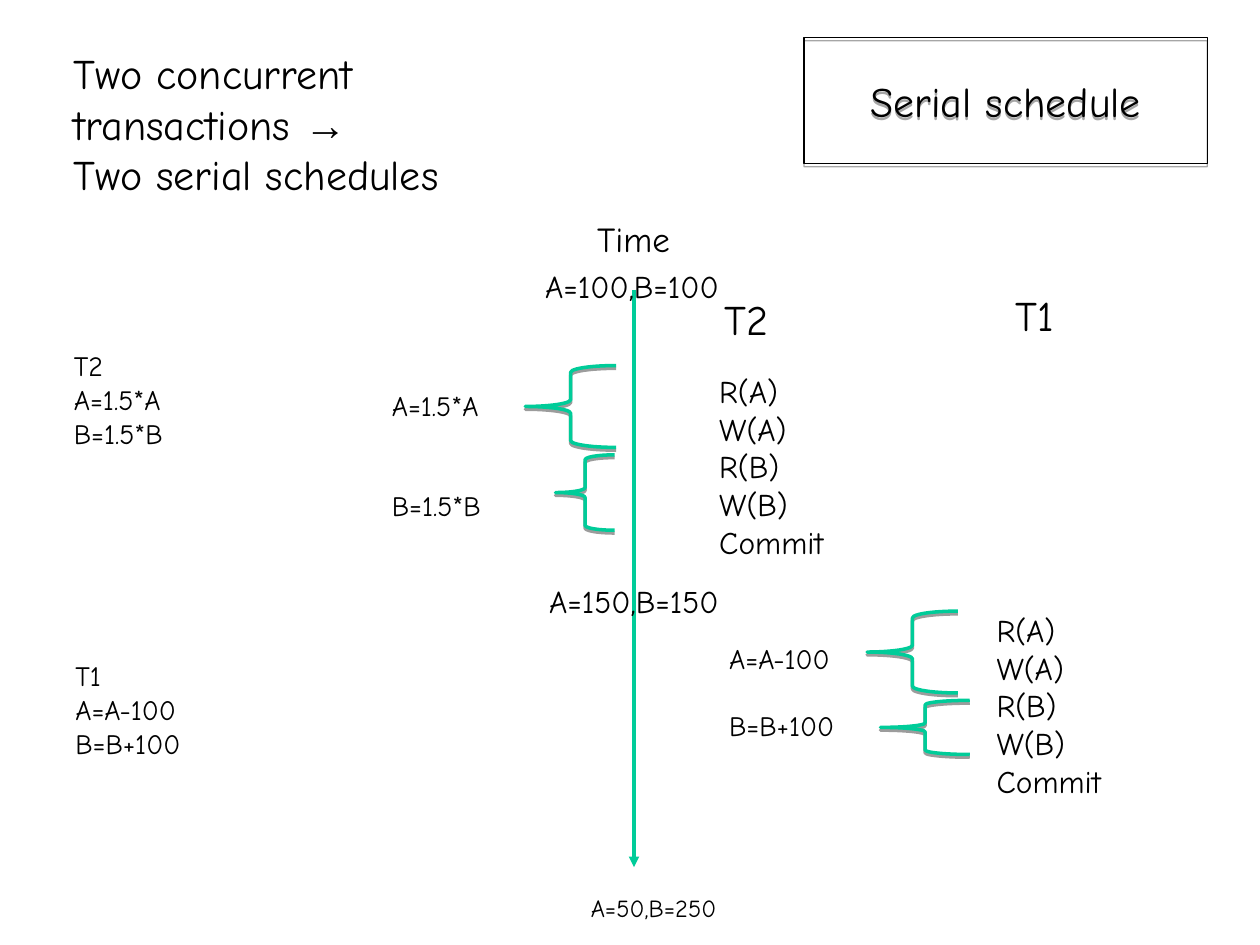
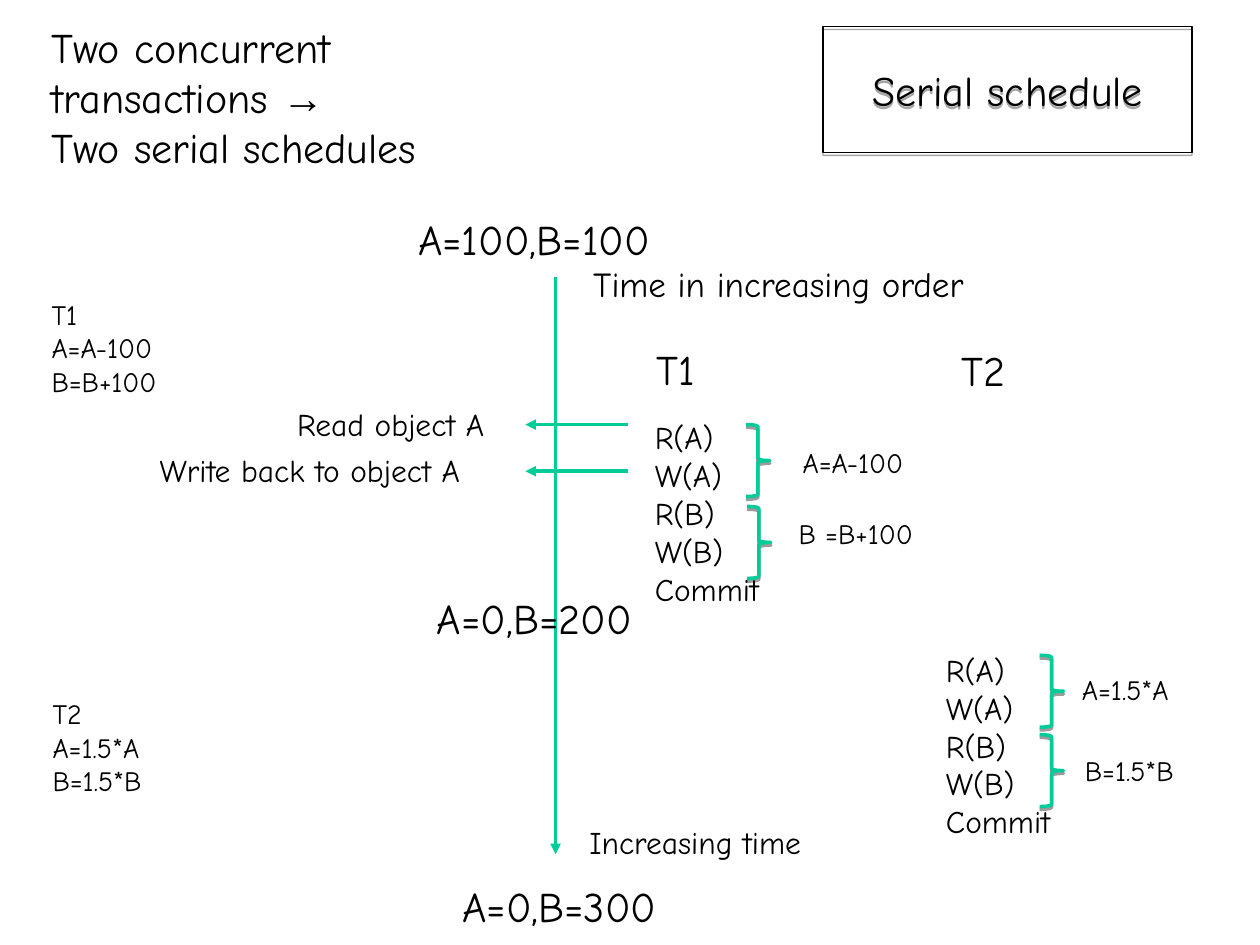
from lxml import etree
from pptx import Presentation
from pptx.dml.color import RGBColor
from pptx.enum.shapes import MSO_CONNECTOR, MSO_SHAPE
from pptx.enum.text import MSO_ANCHOR, MSO_AUTO_SIZE, PP_ALIGN
from pptx.oxml.ns import qn
from pptx.util import Cm, Pt

STRAIGHT = MSO_CONNECTOR.STRAIGHT
RECTANGLE = MSO_SHAPE.RECTANGLE
BRACES = {"left": MSO_SHAPE.LEFT_BRACE, "right": MSO_SHAPE.RIGHT_BRACE}
MIDDLE, CENTER = MSO_ANCHOR.MIDDLE, PP_ALIGN.CENTER
GROW = MSO_AUTO_SIZE.SHAPE_TO_FIT_TEXT

BLACK, GREEN = "000000", "00CC99"
FONT, ARROW_FONT = "Comic Neue", "Arial"
LINE_HEIGHT = 1.2
LABEL_SLACK = 0.06  # cm of extra width that keeps a tight label on one line

HEADING = ["Two concurrent transactions →", "Two serial schedules"]
BADGE = "Serial schedule"
OPERATIONS = ["R(A)", "W(A)", "R(B)", "W(B)", "Commit"]
TRANSACTIONS = {"T1": ["A=A-100", "B=B+100"], "T2": ["A=1.5*A", "B=1.5*B"]}

# Text styles: size in points, box height in cm, and whether lines wrap
STYLES = {
    "heading": {"size": 24, "height": 3.3, "wrap": True},
    "definition": {"size": 16, "height": 2.29, "wrap": True},
    "operations": {"size": 18, "height": 4.06, "wrap": True},
    "steps": {"size": 16, "height": 2.29, "wrap": True},
    "note": {"size": 18, "height": 1.02, "wrap": True},
    "large": {"size": 24, "height": 1.27, "wrap": False},
    "medium": {"size": 20, "height": 1.12, "wrap": False},
    "normal": {"size": 18, "height": 1.02, "wrap": False},
    "step": {"size": 16, "height": 0.94, "wrap": False},
    "small": {"size": 14, "height": 0.86, "wrap": False},
}

# Places in cm. labels: style, text, left, top, width
SLIDES = [
    {
        "heading": (1.24, 0.84),
        "badge": (16.21, 0.76, 8.13, 2.54),
        "definitions": {"T2": (1.24, 6.91), "T1": (1.27, 13.16)},
        "operations": [(14.25, 7.37), (19.84, 12.19)],
        "steps": [("T2", 7.65, 7.7, 2), ("T1", 14.45, 12.8, 1)],
        "labels": [
            ("medium", "Time", 11.79, 4.27, 1.98),
            ("normal", "A=100,B=100", 10.74, 5.26, 4.01),
            ("large", "T2", 14.35, 5.79, 1.4),
            ("large", "T1", 20.22, 5.72, 1.27),
            ("normal", "A=150,B=150", 10.82, 11.61, 3.91),
            ("small", "A=50,B=250", 11.66, 17.88, 3.02),
        ],
        "arrows": [(12.78, 5.84, 12.78, 17.48)],
        "brace_side": "left",
        "braces": [
            (10.59, 7.37, 1.83, 1.65), (11.2, 9.17, 1.19, 1.52),
            (17.48, 12.32, 1.83, 1.65), (17.75, 14.12, 1.8, 1.09),
        ],
    },
    {
        "heading": (0.79, 0.3),
        "badge": (16.59, 0.53, 7.44, 2.54),
        "definitions": {"T1": (0.79, 5.87), "T2": (0.81, 13.92)},
        "operations": [(12.95, 8.31), (18.82, 13)],
        "steps": [],
        "labels": [
            ("large", "A=100,B=100", 8.18, 4.17, 5.18),
            ("medium", "Time in increasing order", 11.71, 5.16, 8),
            ("large", "T1", 12.98, 6.81, 1.27),
            ("large", "T2", 19.13, 6.83, 1.4),
            ("note", "Read object A", 5.74, 8.05, 6.91),
            ("note", "Write back to object A", 2.97, 8.97, 8.26),
            ("step", "A=A-100", 15.93, 8.86, 2.54),
            ("step", "B =B+100", 15.85, 10.29, 2.82),
            ("large", "A=0,B=200", 8.56, 11.81, 4.42),
            ("step", "A=1.5*A", 21.56, 13.44, 2.26),
            ("step", "B=1.5*B", 21.62, 15.06, 2.29),
            ("normal", "Increasing time", 11.63, 16.46, 4.78),
            ("large", "A=0,B=300", 9.07, 17.63, 4.42),
        ],
        "arrows": [
            (11.2, 5.59, 11.2, 17.22),
            (12.65, 8.56, 10.59, 8.56), (12.65, 9.5, 10.59, 9.5),
        ],
        "brace_side": "right",
        "braces": [
            (left, top, 0.48, 1.45)
            for left, top in [(15.04, 8.56), (15.06, 10.21), (20.96, 13.21), (20.96, 14.81)]
        ],
    },
]


def color(hex_value):
    return RGBColor.from_string(hex_value)


def set_line(shape, hex_value, width):
    shape.line.color.rgb = color(hex_value)
    shape.line.width = Pt(width)


def write_line(para, text, size):
    """Write one paragraph, setting an arrow symbol in its own font."""
    before, arrow, _ = text.partition("→")
    for part, font in ((before, FONT), (arrow, ARROW_FONT)):
        if part:
            span = para.add_run()
            span.text = part
            for name, value in {"name": font, "size": Pt(size)}.items():
                setattr(span.font, name, value)
            span.font.color.rgb = color(BLACK)


def add_text(page, style, lines, left, top, width, skipped_lines=0):
    """Add a text box; skipped_lines is the gap between its paragraphs."""
    look = STYLES[style]
    if not look["wrap"]:
        width += LABEL_SLACK
    box = page.shapes.add_textbox(Cm(left), Cm(top), Cm(width), Cm(look["height"]))
    frame = box.text_frame
    for name, value in {"word_wrap": look["wrap"], "auto_size": GROW}.items():
        setattr(frame, name, value)
    for index, line in enumerate(lines):
        para = frame.add_paragraph() if index else frame.paragraphs[0]
        if index and skipped_lines:
            para.space_before = Pt(skipped_lines * look["size"] * LINE_HEIGHT)
        write_line(para, line, look["size"])


def add_outline(page, kind, place, hex_value, width, distance, opacity):
    """Add an unfilled shape with a hard shadow straight below it."""
    shape = page.shapes.add_shape(kind, *map(Cm, place))
    shape.fill.background()
    set_line(shape, hex_value, width)
    shape.shadow.inherit = False
    effects = shape.element.spPr.find(qn("a:effectLst"))
    shadow = etree.SubElement(effects, qn("a:outerShdw"), blurRad="0",
                              dist=str(Pt(distance)), dir="5400000", rotWithShape="0")
    tint = etree.SubElement(shadow, qn("a:srgbClr"), val=BLACK)
    etree.SubElement(tint, qn("a:alpha"), val=str(opacity * 1000))
    return shape


def add_badge(page, place):
    badge = add_outline(page, RECTANGLE, place, BLACK, 0.75, 1.8, 35)
    badge.text_frame.vertical_anchor = MIDDLE
    para = badge.text_frame.paragraphs[0]
    para.alignment = CENTER
    write_line(para, BADGE, 24)


def add_arrow(page, ends):
    arrow = page.shapes.add_connector(STRAIGHT, *map(Cm, ends))
    set_line(arrow, GREEN, 2)
    properties = arrow.element.spPr
    etree.SubElement(properties.find(qn("a:ln")), qn("a:tailEnd"), type="triangle")
    etree.SubElement(properties, qn("a:effectLst"))


def build_page(page, content):
    for ends in content["arrows"]:
        add_arrow(page, ends)
    add_text(page, "heading", HEADING, *content["heading"], 9.53)
    add_badge(page, content["badge"])
    for name, place in content["definitions"].items():
        add_text(page, "definition", [name, *TRANSACTIONS[name]], *place, 3.23)
    for place in content["operations"]:
        add_text(page, "operations", OPERATIONS, *place, 3.51)
    for name, left, top, skipped_lines in content["steps"]:
        add_text(page, "steps", TRANSACTIONS[name], left, top, 2.97, skipped_lines)
    for style, text, left, top, width in content["labels"]:
        add_text(page, style, [text], left, top, width)
    for place in content["braces"]:
        add_outline(page, BRACES[content["brace_side"]], place, GREEN, 2, 1.6, 38)


def main():
    deck = Presentation()
    deck.slide_width, deck.slide_height = Cm(25.4), Cm(19.05)
    blank = deck.slide_layouts[6]
    for content in SLIDES:
        build_page(deck.slides.add_slide(blank), content)
    deck.save("out.pptx")


if __name__ == "__main__":
    main()
